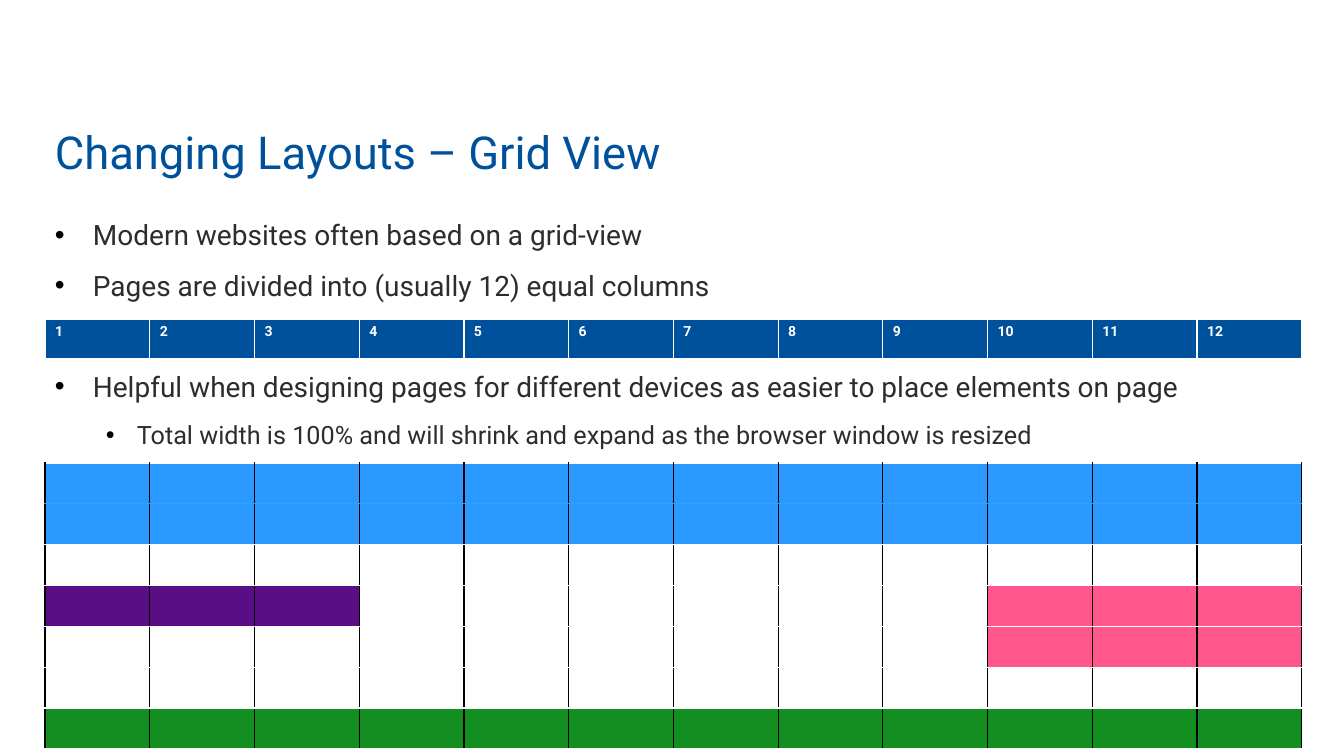
from lxml.etree import SubElement
from pptx import Presentation
from pptx.dml.color import RGBColor
from pptx.enum.text import MSO_ANCHOR as Anchor
from pptx.oxml.ns import qn
from pptx.util import Pt

SCALE = 914400 / 100.8
COLUMNS = 12
BLUE, WHITE, BLACK = "00519C", "FFFFFF", "000000"
SKY, SKY_LINE = "2B99FF", "33A0FF"
PURPLE, PINK, GREEN = "590E85", "FF568C", "128F20"

TITLE = "Changing Layouts – Grid View"
BULLETS = [
    ("Modern websites often based on a grid-view", 0, 6),
    ("Pages are divided into (usually 12) equal columns", 0, 6),
    ("Helpful when designing pages for different devices as easier to place elements on page", 0, 42),
    ("Total width is 100% and will shrink and expand as the browser window is resized", 1, 6),
]
LEVELS = [
    {"size": 20, "margin": 38, "hanging": 38},
    {"size": 18, "margin": 82, "hanging": 31},
]
PAGE_ROWS = [
    [SKY] * 12,
    [SKY] * 12,
    [WHITE] * 12,
    [PURPLE] * 3 + [WHITE] * 6 + [PINK] * 3,
    [WHITE] * 9 + [PINK] * 3,
    [WHITE] * 12,
    [GREEN] * 12,
]


def px(length):
    return round(length * SCALE)


def color(value):
    return RGBColor.from_string(value)


def apply_format(target, values):
    for name, value in values.items():
        setattr(target, name, value)


def format_font(font, size, shade, bold=False):
    apply_format(font, {"name": "Roboto", "size": Pt(size), "bold": bold})
    font.color.rgb = color(shade)


def add_text_frame(slide, box, anchor):
    frame = slide.shapes.add_textbox(*map(px, box)).text_frame
    apply_format(frame, {"word_wrap": True, "vertical_anchor": anchor})
    return frame


def add_title(slide, box):
    run = add_text_frame(slide, box, Anchor.BOTTOM).paragraphs[0].add_run()
    run.text = TITLE
    format_font(run.font, 32.4, BLUE)


def set_bullet(paragraph, margin, hanging):
    properties = paragraph._p.get_or_add_pPr()
    properties.set("marL", str(px(margin)))
    properties.set("indent", str(-px(hanging)))
    bullet_color = SubElement(properties, qn("a:buClr"))
    SubElement(bullet_color, qn("a:srgbClr"), val=BLACK)
    SubElement(properties, qn("a:buFont"), typeface="Arial")
    SubElement(properties, qn("a:buChar"), char="•")


def add_bullets(slide, box):
    frame = add_text_frame(slide, box, Anchor.TOP)
    for index, (text, depth, gap) in enumerate(BULLETS):
        paragraph = frame.add_paragraph() if index else frame.paragraphs[0]
        level = LEVELS[depth]
        apply_format(paragraph, {"level": depth, "space_before": Pt(gap), "space_after": Pt(6)})
        set_bullet(paragraph, level["margin"], level["hanging"])
        run = paragraph.add_run()
        run.text = text
        format_font(run.font, level["size"], "2E2D2C")


def set_borders(cell, borders):
    properties = cell._tc.get_or_add_tcPr()
    for side in "LRTB":
        shade, width = borders[side]
        line = SubElement(properties, qn(f"a:ln{side}"), w=str(Pt(width)))
        fill = SubElement(line, qn("a:solidFill"))
        SubElement(fill, qn("a:srgbClr"), val=shade)


def fill_cell(cell, shade, borders):
    set_borders(cell, borders)
    cell.fill.solid()
    cell.fill.fore_color.rgb = color(shade)


def add_grid(slide, box, row_count):
    left, top, width, height = map(px, box)
    table = slide.shapes.add_table(row_count, COLUMNS, left, top, width, height).table
    apply_format(table, {"first_row": False, "horz_banding": False})
    for column in table.columns:
        column.width = width // COLUMNS
    for row in table.rows:
        row.height = height // row_count
    return table


def add_column_numbers(slide, box):
    table = add_grid(slide, box, 1)
    borders = {"L": (WHITE, 1), "R": (WHITE, 1), "T": (WHITE, 1), "B": (WHITE, 3)}
    for number, cell in enumerate(table.iter_cells(), 1):
        fill_cell(cell, BLUE, borders)
        run = cell.text_frame.paragraphs[0].add_run()
        run.text = str(number)
        format_font(run.font, 10, WHITE, True)


def add_page_grid(slide, box):
    table = add_grid(slide, box, len(PAGE_ROWS))
    for row_index, shades in enumerate(PAGE_ROWS):
        borders = {
            "L": (BLACK, 1),
            "R": (BLACK, 1),
            "T": (SKY_LINE if row_index == 1 else WHITE, 1),
            "B": (SKY_LINE if row_index == 0 else WHITE, 1),
        }
        for column_index, shade in enumerate(shades):
            fill_cell(table.cell(row_index, column_index), shade, borders)


def main():
    presentation = Presentation()
    apply_format(presentation, {"slide_width": px(1344), "slide_height": px(756)})
    slide = presentation.slides.add_slide(presentation.slide_layouts[6])
    add_bullets(slide, (45, 213, 1257, 501))
    add_title(slide, (45, 114, 1006, 70))
    add_column_numbers(slide, (45, 319, 1257, 41))
    add_page_grid(slide, (45, 463, 1257, 286))
    presentation.save("out.pptx")


if __name__ == "__main__":
    main()
